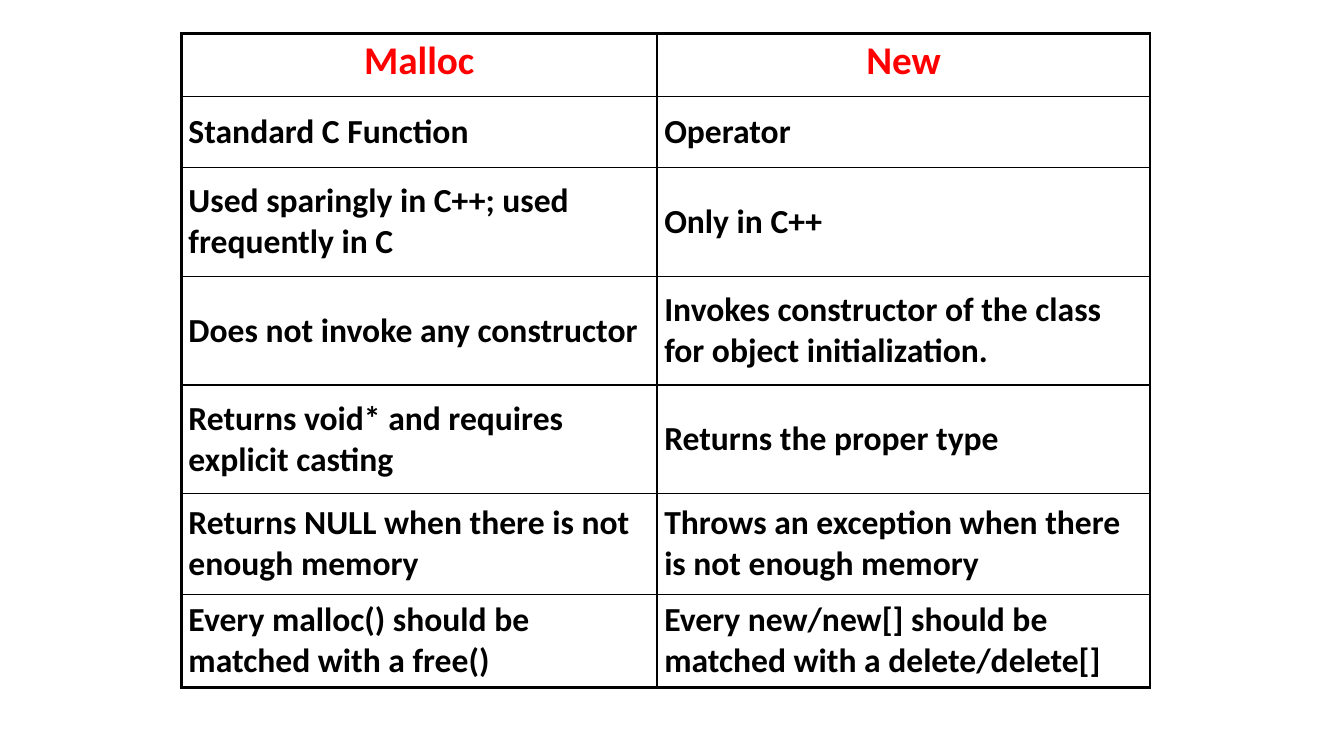
from lxml.etree import SubElement
from pptx import Presentation
from pptx.dml.color import RGBColor
from pptx.enum.text import MSO_ANCHOR, PP_ALIGN
from pptx.oxml.ns import qn
from pptx.util import Cm, Pt

THICK, THIN = 2.25, 1
COLUMN_WIDTHS = [11.99, 12.42]
ROW_HEIGHTS = [1.6, 1.78, 2.74, 2.74, 2.74, 2.54, 2.34]
COMPARISON = [
    ("Malloc", "New"),
    ("Standard C Function", "Operator"),
    ("Used sparingly in C++; used frequently in C", "Only in C++"),
    ("Does not invoke any constructor",
     "Invokes constructor of the class for object initialization."),
    ("Returns void* and requires explicit casting", "Returns the proper type"),
    ("Returns NULL when there is not enough memory",
     "Throws an exception when there is not enough memory"),
    ("Every malloc() should be matched with a free()",
     "Every new/new[] should be matched with a delete/delete[]"),
]


def color(value):
    return RGBColor.from_string(value)


def add_border(cell, side, width):
    properties = cell._tc.get_or_add_tcPr()
    line = SubElement(properties, qn(f"a:ln{side}"), w=str(Pt(width)))
    fill = SubElement(line, qn("a:solidFill"))
    SubElement(fill, qn("a:srgbClr"), val="000000")


deck = Presentation()
deck.slide_width, deck.slide_height = Cm(33.87), Cm(19.05)
page = deck.slides.add_slide(deck.slide_layouts[6])

# Table frame
table = page.shapes.add_table(
    len(ROW_HEIGHTS), len(COLUMN_WIDTHS), Cm(4.57), Cm(0.84),
    Cm(sum(COLUMN_WIDTHS)), Cm(sum(ROW_HEIGHTS))).table
table.first_row = table.horz_banding = False
for column, width in zip(table.columns, COLUMN_WIDTHS):
    column.width = Cm(width)
for row, height in zip(table.rows, ROW_HEIGHTS):
    row.height = Cm(height)

# Cells: thick verticals and outer edges, thin lines between rows
last_row = len(COMPARISON) - 1
for row_index, entries in enumerate(COMPARISON):
    header = row_index == 0
    for column_index, entry in enumerate(entries):
        cell = table.cell(row_index, column_index)
        cell.margin_left = cell.margin_right = Cm(0.18)
        cell.margin_top = cell.margin_bottom = Cm(0.1)
        cell.vertical_anchor = MSO_ANCHOR.TOP if header else MSO_ANCHOR.MIDDLE
        add_border(cell, "L", THICK)
        add_border(cell, "R", THICK)
        add_border(cell, "T", THICK if header else THIN)
        add_border(cell, "B", THICK if row_index == last_row else THIN)
        cell.fill.background()

        para = cell.text_frame.paragraphs[0]
        para.alignment = PP_ALIGN.CENTER if header else PP_ALIGN.LEFT
        span = para.add_run()
        span.text = entry
        span.font.name = "Calibri"
        span.font.size = Pt(28 if header else 24)
        span.font.bold = True
        span.font.color.rgb = color("FF0000" if header else "000000")

deck.save("out.pptx")
